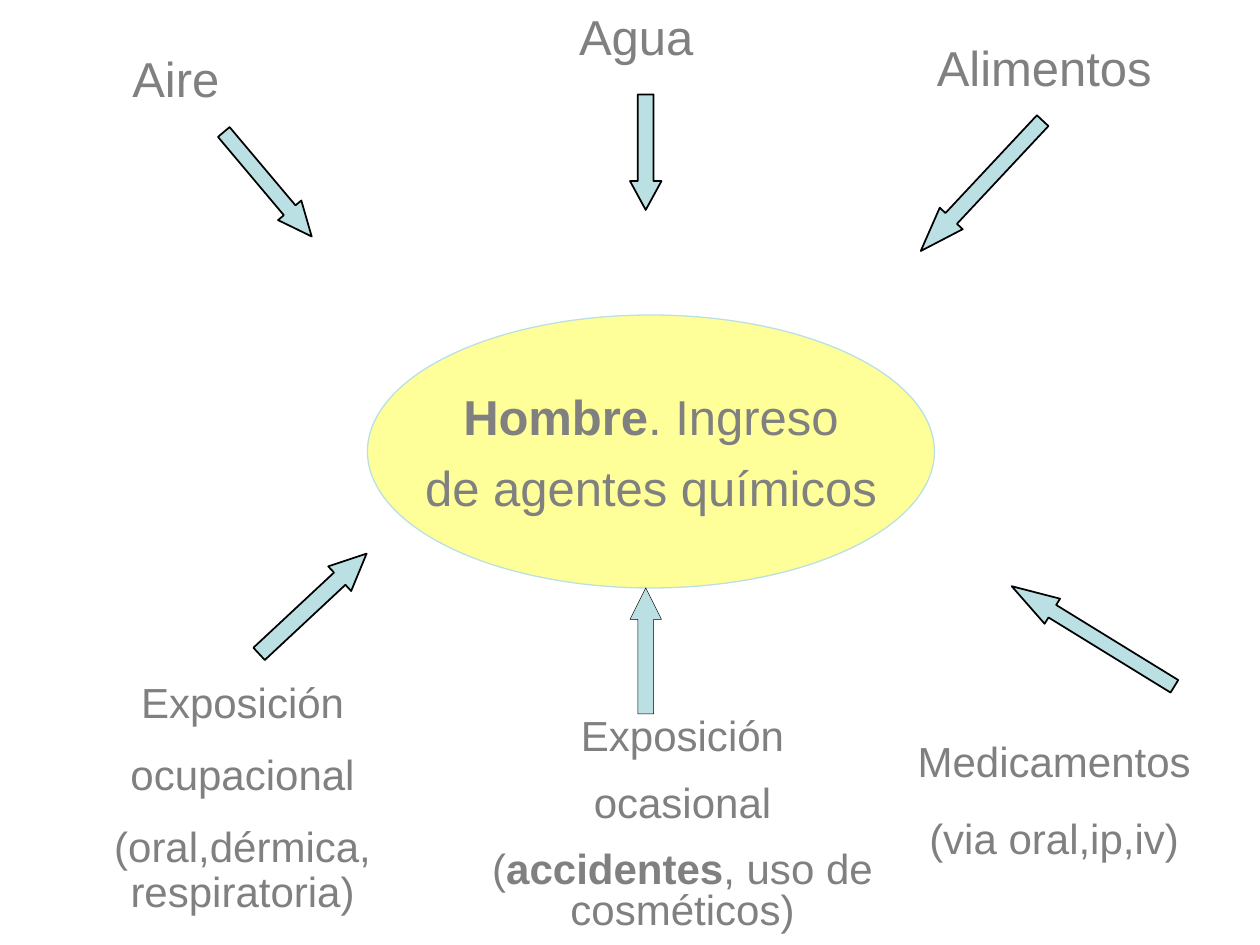
from pptx import Presentation
from pptx.dml.color import RGBColor
from pptx.enum.shapes import MSO_SHAPE
from pptx.enum.text import MSO_ANCHOR, PP_ALIGN
from pptx.util import Inches, Pt

YELLOW = RGBColor(0xFF, 0xFF, 0x99)
AQUA = RGBColor(0xBB, 0xE0, 0xE3)
GRAY = RGBColor(0x80, 0x80, 0x80)
BLACK = RGBColor(0, 0, 0)

WIDTH, HEIGHT = Inches(10), Inches(7.5)
COLUMNS, ROWS = 120, 90

SOURCES = [
    ((8.4, 4, 16.7, 6.8), "Aire"),
    ((51, 0, 19.2, 6.8), "Agua"),
    ((88, 3, 22.9, 6.8), "Alimentos"),
]
EXPOSURES = [
    ((5.5, 64.4, 35.2, 23.5), 0.9,
     [[("Exposición", False)], [("ocupacional", False)],
      [("(oral,dérmica, respiratoria)", False)]]),
    ((40.7, 67.9, 48.6, 21.6), 0.8,
     [[("Exposición", False)], [("ocasional", False)],
      [("(", False), ("accidentes", True), (", uso de cosméticos)", False)]]),
    ((86, 68.3, 28.8, 15.6), 1,
     [[("Medicamentos", False)], [("(via oral,ip,iv)", False)]]),
]
CENTER = [[("Hombre", True), (". Ingreso", False)],
          [("de agentes químicos", False)]]
ARROWS = [
    ((60, 56, 3, 12), MSO_SHAPE.UP_ARROW, 0, 0.25),
    ((60, 9, 3, 11), MSO_SHAPE.DOWN_ARROW, 0, 1),
    ((85, 16.2, 17, 3), MSO_SHAPE.LEFT_ARROW, 313.1, 1),
    ((19, 16.1, 13, 2.9), MSO_SHAPE.RIGHT_ARROW, 49.9, 1),
    ((22.8, 55.9, 14, 3.2), MSO_SHAPE.RIGHT_ARROW, 317, 1),
    ((95, 59.2, 18.2, 2.8), MSO_SHAPE.LEFT_ARROW, 31.6, 1),
]


def place(cells):
    """Turn a box in grid cells into slide lengths."""
    left, top, wide, high = cells
    return (round(left * WIDTH / COLUMNS), round(top * HEIGHT / ROWS),
            round(wide * WIDTH / COLUMNS), round(high * HEIGHT / ROWS))


def write(shape, paragraphs, size, gap, spacing=1, wrap=False):
    """Fill a shape with centred gray paragraphs made of (text, bold) runs."""
    frame = shape.text_frame
    frame.word_wrap = wrap
    frame.vertical_anchor = MSO_ANCHOR.MIDDLE
    for index, spans in enumerate(paragraphs):
        para = frame.add_paragraph() if index else frame.paragraphs[0]
        para.alignment = PP_ALIGN.CENTER
        para.line_spacing = spacing
        para.space_before = Pt(gap if index else 0)
        for text, bold in spans:
            span = para.add_run()
            span.text = text
            span.font.name = "Arial"
            span.font.size = Pt(size)
            span.font.bold = bold
            span.font.color.rgb = GRAY


def draw_shape(page, cells, kind, fill, line, weight):
    """Add a flat preset shape with its fill and outline."""
    shape = page.shapes.add_shape(kind, *place(cells))
    shape.shadow.inherit = False
    shape.fill.solid()
    shape.fill.fore_color.rgb = fill
    shape.line.color.rgb = line
    shape.line.width = Pt(weight)
    return shape


def draw_center(page, cells):
    """Add the ellipse that every arrow points towards."""
    ellipse = draw_shape(page, cells, MSO_SHAPE.OVAL, YELLOW, AQUA, 0.75)
    write(ellipse, CENTER, 28, 7)


def draw_arrow(page, cells, kind, angle, weight):
    """Add a block arrow whose head takes a quarter of its length."""
    arrow = draw_shape(page, cells, kind, AQUA, BLACK, weight)
    sides = cells[2:]
    arrow.adjustments[0] = 0.5
    arrow.adjustments[1] = max(sides) / min(sides) / 4
    arrow.rotation = angle


def draw_source(page, cells, text):
    """Add a one-line label for a source above the ellipse."""
    write(page.shapes.add_textbox(*place(cells)), [[(text, False)]], 28, 0)


def draw_exposure(page, cells, spacing, paragraphs):
    """Add a wrapped description of an exposure below the ellipse."""
    box = page.shapes.add_textbox(*place(cells))
    write(box, paragraphs, 24, 15, spacing, wrap=True)


def main():
    """Build the slide and save it."""
    deck = Presentation()
    deck.slide_width, deck.slide_height = WIDTH, HEIGHT
    page = deck.slides.add_slide(deck.slide_layouts[6])
    draw_center(page, (35, 30, 54, 26))
    for arrow in ARROWS:
        draw_arrow(page, *arrow)
    for source in SOURCES:
        draw_source(page, *source)
    for exposure in EXPOSURES:
        draw_exposure(page, *exposure)
    deck.save("out.pptx")


if __name__ == "__main__":
    main()
